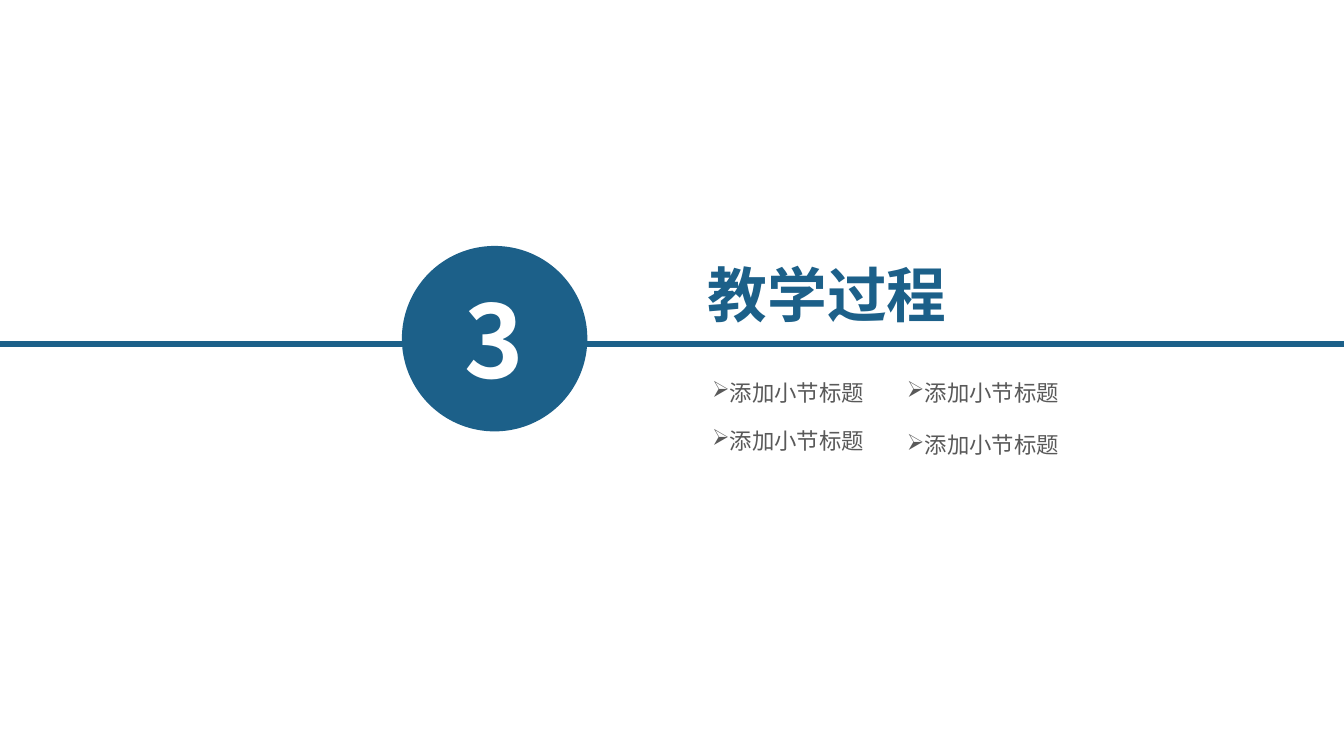
from lxml import etree
from pptx import Presentation
from pptx.dml.color import RGBColor
from pptx.enum.shapes import MSO_CONNECTOR, MSO_SHAPE
from pptx.enum.text import MSO_ANCHOR, MSO_AUTO_SIZE, PP_ALIGN
from pptx.oxml.ns import qn
from pptx.util import Inches, Pt

STRAIGHT = MSO_CONNECTOR.STRAIGHT
OVAL = MSO_SHAPE.OVAL
MIDDLE = MSO_ANCHOR.MIDDLE
GROW = MSO_AUTO_SIZE.SHAPE_TO_FIT_TEXT
CENTER = PP_ALIGN.CENTER
LEFT = PP_ALIGN.LEFT


def color(value):
    """Turn a hex string into a colour."""
    return RGBColor.from_string(value)


class SectionSlide:
    """Hold the section style and the slide being built."""

    BLUE, GRAY, WHITE = "1C6089", "595959", "FFFFFF"
    CJK, LATIN = "Noto Sans CJK SC", "Calibri"

    def __init__(self, slide):
        """Keep the slide to draw on."""
        self.slide = slide

    def style(self, paragraph, size, ink, face, bold=False, align=CENTER):
        """Set the font and alignment of a paragraph."""
        paragraph.alignment = align
        font = paragraph.font
        font.size, font.bold, font.name = Pt(size), bold, face
        font.color.rgb = color(ink)
        defaults = paragraph._p.pPr.find(qn("a:defRPr"))
        etree.SubElement(defaults, qn("a:ea"), typeface=self.CJK)

    def rule(self, top, width):
        """Draw a horizontal line from the left edge."""
        line = self.slide.shapes.add_connector(
            STRAIGHT, 0, Inches(top), Inches(width), Inches(top))
        line.line.color.rgb = color(self.BLUE)
        line.line.width = Pt(2.75)
        etree.SubElement(line._element.spPr, qn("a:effectLst"))

    def badge(self, number, left, top, size):
        """Draw the circle with the section number."""
        circle = self.slide.shapes.add_shape(
            OVAL, Inches(left), Inches(top), Inches(size), Inches(size))
        circle.shadow.inherit = False
        circle.fill.solid()
        circle.fill.fore_color.rgb = color(self.BLUE)
        circle.line.fill.background()
        frame = circle.text_frame
        frame.vertical_anchor = MIDDLE
        frame.margin_left = frame.margin_right = Inches(0.07)
        frame.margin_top = frame.margin_bottom = Inches(0.04)
        frame.text = number
        self.style(frame.paragraphs[0], 54, self.WHITE, self.CJK, True)

    def text_box(self, text, left, top, width, height, wrap):
        """Add a growing text box and return its paragraph."""
        frame = self.slide.shapes.add_textbox(
            Inches(left), Inches(top), Inches(width), Inches(height)).text_frame
        frame.word_wrap = wrap
        frame.auto_size = GROW
        frame.text = text
        return frame.paragraphs[0]

    def title(self, text, left, top, width, height):
        """Add the section title."""
        paragraph = self.text_box(text, left, top, width, height, False)
        self.style(paragraph, 32, self.BLUE, self.LATIN, True)

    def topic(self, text, left, top):
        """Add one bulleted subsection title."""
        paragraph = self.text_box(text, left, top, 1.5, 0.3, True)
        properties = paragraph._p.get_or_add_pPr()
        properties.set("marL", "0")
        properties.set("indent", "0")
        etree.SubElement(properties, qn("a:buChar"), char="➢")
        self.style(paragraph, 12, self.GRAY, self.CJK, align=LEFT)


def main():
    """Build and save the section slide."""
    deck = Presentation()
    deck.slide_width = Inches(10)
    deck.slide_height = deck.slide_width * 9 // 16
    section = SectionSlide(deck.slides.add_slide(deck.slide_layouts[6]))
    section.rule(2.56, 10)
    section.badge("3", 2.99, 1.83, 1.38)
    section.title("教学过程", 5.16, 1.87, 1.99, 0.63)
    for left, tops in ((5.2, (2.77, 3.13)), (6.65, (2.77, 3.16))):
        for top in tops:
            section.topic("添加小节标题", left, top)
    deck.save("out.pptx")


if __name__ == "__main__":
    main()
